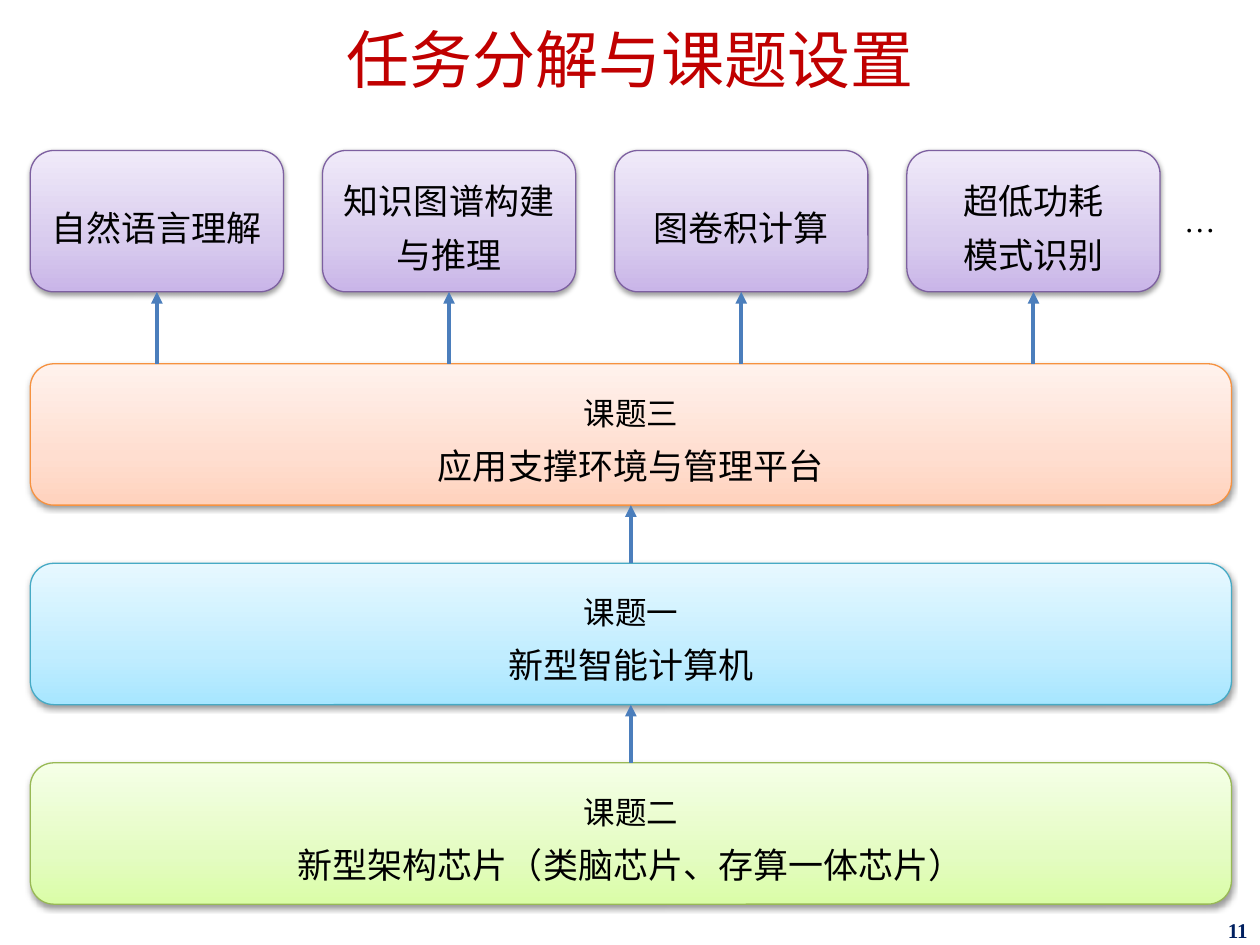
from copy import deepcopy

from lxml.etree import SubElement
from pptx import Presentation
from pptx.dml.color import RGBColor
from pptx.enum.shapes import MSO_CONNECTOR, MSO_SHAPE
from pptx.enum.text import MSO_ANCHOR, PP_ALIGN
from pptx.oxml.ns import qn
from pptx.util import Pt

FONT = "Times New Roman"
BLACK = RGBColor(0x00, 0x00, 0x00)
RED = RGBColor(0xC0, 0x00, 0x00)
NAVY = RGBColor(0x00, 0x20, 0x60)
STEEL = RGBColor(0x4B, 0x7E, 0xBC)
PURPLE = (RGBColor(0x7D, 0x60, 0xA0), RGBColor(0xC9, 0xB5, 0xE8),
          RGBColor(0xD8, 0xCB, 0xEE), RGBColor(0xF0, 0xEA, 0xF9))
ORANGE = (RGBColor(0xF6, 0x92, 0x40), RGBColor(0xFF, 0xD2, 0xBD),
          RGBColor(0xFF, 0xDE, 0xD0), RGBColor(0xFF, 0xF2, 0xED))
BLUE = (RGBColor(0x46, 0xAA, 0xC5), RGBColor(0xA7, 0xE6, 0xFF),
        RGBColor(0xC1, 0xED, 0xFF), RGBColor(0xE7, 0xF8, 0xFF))
GREEN = (RGBColor(0x98, 0xB9, 0x55), RGBColor(0xDA, 0xFD, 0xA7),
         RGBColor(0xE4, 0xFC, 0xC2), RGBColor(0xF5, 0xFF, 0xE7))

CARDS = ["自然语言理解", "知识图谱构建\n与推理", "图卷积计算", "超低功耗\n模式识别"]
LAYERS = [
    ("课题三", "应用支撑环境与管理平台", ORANGE),
    ("课题一", "新型智能计算机", BLUE),
    ("课题二", "新型架构芯片（类脑芯片、存算一体芯片）", GREEN),
]


def add_text(para, text, size, color, bold=False):
    for i, part in enumerate(text.split("\n")):
        if i:
            para.add_line_break()
        run = para.add_run()
        run.text = part
        run.font.name = FONT
        run.font.size = Pt(size)
        run.font.bold = bold
        run.font.color.rgb = color


def add_label(slide, box, text, size, color, align, top=3.6, bold=False,
              anchor=MSO_ANCHOR.MIDDLE, space=None):
    frame = slide.shapes.add_textbox(*map(Pt, box)).text_frame
    frame.word_wrap = True
    frame.vertical_anchor = anchor
    frame.margin_top = Pt(top)
    para = frame.paragraphs[0]
    para.alignment = align
    para.line_spacing = space
    add_text(para, text, size, color, bold)


def add_fill(shape, colors):
    fill = shape.fill
    fill.gradient()
    fill.gradient_angle = 90
    stops = shape._element.spPr.find(qn("a:gradFill")).find(qn("a:gsLst"))
    stops.insert(1, deepcopy(stops[0]))
    for stop, place, color in zip(fill.gradient_stops, (0, 0.35, 1), colors):
        stop.position = place
        stop.color.rgb = color


def add_shadow(shape):
    shape.shadow.inherit = False
    effects = shape._element.spPr.find(qn("a:effectLst"))
    outer = SubElement(effects, qn("a:outerShdw"), blurRad=str(Pt(3.15)),
                       dist=str(Pt(1.57)), dir="5400000", rotWithShape="0")
    color = SubElement(outer, qn("a:srgbClr"), val="000000")
    SubElement(color, qn("a:alpha"), val="38000")


def add_block(slide, box, lines, palette):
    shape = slide.shapes.add_shape(MSO_SHAPE.ROUNDED_RECTANGLE, *map(Pt, box))
    edge, *colors = palette
    add_fill(shape, colors)
    shape.line.color.rgb = edge
    shape.line.width = Pt(0.75)
    add_shadow(shape)
    frame = shape.text_frame
    frame.word_wrap = True
    frame.vertical_anchor = MSO_ANCHOR.MIDDLE
    for i, (text, size) in enumerate(lines):
        para = frame.add_paragraph() if i else frame.paragraphs[0]
        para.alignment = PP_ALIGN.CENTER
        para.line_spacing = 1.3
        add_text(para, text, size, BLACK)
    return shape


def add_arrow(slide, lower, upper, center):
    x = upper.left + upper.width // 2
    line = slide.shapes.add_connector(MSO_CONNECTOR.STRAIGHT, x, lower.top,
                                      x, upper.top + upper.height)
    if center:
        line.begin_connect(lower, 0)
    line.end_connect(upper, 2)
    line.line.color.rgb = STEEL
    line.line.width = Pt(2.25)
    SubElement(line.line._get_or_add_ln(), qn("a:tailEnd"), type="triangle")
    SubElement(line._element.spPr, qn("a:effectLst"))


def add_cards(slide, box):
    left, top, width, height = box
    wide = 144.7
    step = (width - wide) / (len(CARDS) - 1)
    return [add_block(slide, (left + i * step, top, wide, height),
                      [(text, 20)], PURPLE)
            for i, text in enumerate(CARDS)]


def add_layers(slide, box):
    left, top, width, height = box
    tall = 80.8
    step = (height - tall) / (len(LAYERS) - 1)
    return [add_block(slide, (left, top + i * step, width, tall),
                      [(name, 18), (text, 20)], palette)
            for i, (name, text, palette) in enumerate(LAYERS)]


def main():
    deck = Presentation()
    deck.slide_width, deck.slide_height = Pt(720), Pt(540)
    slide = deck.slides.add_slide(deck.slide_layouts[6])
    add_label(slide, (0, 0, 720, 64), "任务分解与课题设置", 36, RED,
              PP_ALIGN.CENTER, top=11.5, space=0.9)
    cards = add_cards(slide, (17.3, 86, 645.6, 80.8))
    add_label(slide, (669.6, 111.6, 34.6, 28.8), "…", 18, BLACK,
              PP_ALIGN.LEFT, anchor=MSO_ANCHOR.TOP)
    layers = add_layers(slide, (17.3, 207.9, 686.4, 308.8))
    for card in cards:
        add_arrow(slide, layers[0], card, False)
    for upper, lower in zip(layers, layers[1:]):
        add_arrow(slide, lower, upper, True)
    add_label(slide, (558, 524.2, 162, 15.8), "11", 12, NAVY,
              PP_ALIGN.RIGHT, top=2.9, bold=True)
    deck.save("out.pptx")


if __name__ == "__main__":
    main()
